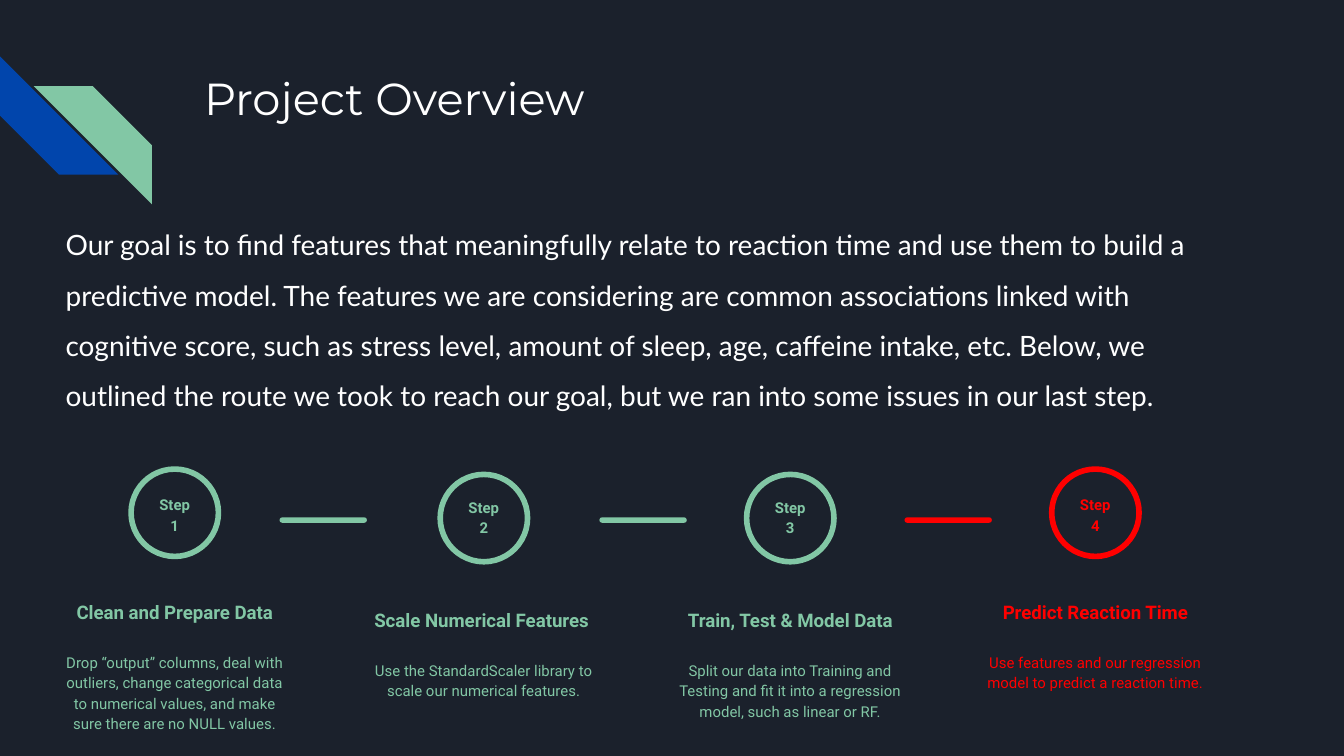
"""Build the Project Overview slide with its four-step route."""
from pptx import Presentation
from pptx.dml.color import RGBColor
from pptx.enum.shapes import MSO_SHAPE
from pptx.enum.text import MSO_ANCHOR, PP_ALIGN
from pptx.util import Inches, Pt

GREEN, RED, BLUE, WHITE = "82C7A5", "FF0000", "0145AC", "FFFFFF"


def color(fill, code):
    fill.solid()
    fill.fore_color.rgb = RGBColor.from_string(code)


def write(text, left, top, width, height, size, font, code,
          bold=False, align=PP_ALIGN.CENTER, space=1.15, after=0):
    box = slide.shapes.add_textbox(Inches(left), Inches(top), Inches(width), Inches(height))
    frame = box.text_frame
    frame.word_wrap = True
    frame.margin_left = frame.margin_right = Inches(0.1)
    frame.margin_top = frame.margin_bottom = Inches(0.1)
    frame.text = text
    para = frame.paragraphs[0]
    para.alignment = align
    para.line_spacing = space
    para.space_after = Pt(after)
    run = para.runs[0]
    run.font.size = Pt(size)
    run.font.name = font
    run.font.bold = bold
    color(run.font.fill, code)
    return frame


deck = Presentation()
deck.slide_width = Inches(10)
deck.slide_height = Inches(10 * 9 / 16)
slide = deck.slides.add_slide(deck.slide_layouts[6])
color(slide.background.fill, "1B212C")

for left, top, turn, code in [(0, 0.42, 270, BLUE), (0.25, 0.64, 90, GREEN)]:
    stripe = slide.shapes.add_shape(
        MSO_SHAPE.DIAGONAL_STRIPE, Inches(left), Inches(top), Inches(0.88), Inches(0.88))
    stripe.rotation = turn
    stripe.shadow.inherit = False
    color(stripe.fill, code)
    stripe.line.fill.background()

for left, code in [(2.08, GREEN), (4.46, GREEN), (6.73, RED)]:
    bar = slide.shapes.add_shape(
        MSO_SHAPE.ROUNDED_RECTANGLE, Inches(left), Inches(3.85), Inches(0.65), Inches(0.04))
    bar.adjustments[0] = 0.5
    bar.shadow.inherit = False
    color(bar.fill, code)
    bar.line.fill.background()

write("Our goal is to find features that meaningfully relate to reaction time and use "
      "them to build a predictive model. The features we are considering are common "
      "associations linked with cognitive score, such as stress level, amount of sleep, "
      "age, caffeine intake, etc. Below, we outlined the route we took to reach our goal, "
      "but we ran into some issues in our last step.",
      0.39, 1.47, 8.73, 1.85, 15, "Lato", WHITE,
      align=PP_ALIGN.LEFT, space=1.5, after=12)
write("Project Overview", 1.42, 0.43, 7.7, 1, 24, "Montserrat", WHITE,
      align=PP_ALIGN.LEFT, space=1.0)

steps = [
    (1.3, 3.49, 3.57, 4.24, 1.92, GREEN, "Clean and Prepare Data",
     "Drop “output” columns, deal with outliers, change categorical data to numerical "
     "values, and make sure there are no NULL values."),
    (3.6, 3.53, 3.59, 4.3, 1.87, GREEN, "Scale Numerical Features ",
     "Use the StandardScaler library to scale our numerical features."),
    (5.88, 3.53, 3.59, 4.3, 1.87, GREEN, "Train, Test & Model Data",
     "Split our data into Training and Testing and fit it into a regression model, "
     "such as linear or RF."),
    (8.15, 3.49, 3.57, 4.24, 1.87, RED, "Predict Reaction Time",
     "Use features and our regression model to predict a reaction time."),
]
for num, (mid, top, tag, low, width, code, head, body) in enumerate(steps, 1):
    ring = slide.shapes.add_shape(
        MSO_SHAPE.OVAL, Inches(mid - 0.65 / 2), Inches(top), Inches(0.65), Inches(0.65))
    ring.shadow.inherit = False
    ring.fill.background()
    color(ring.line.fill, code)
    ring.line.width = Pt(3)
    write(f"Step {num}", mid - 0.24, tag, 0.48, 0.5, 8, "Roboto", code,
          bold=True, after=16)
    title = write(head, mid - 1.87 / 2, low, 1.87, 0.49, 10, "Roboto", code, bold=True)
    title.vertical_anchor = MSO_ANCHOR.BOTTOM
    write(body, mid - width / 2, low + 0.5, width, 0.81, 8, "Roboto", code, after=16)

deck.save("out.pptx")
